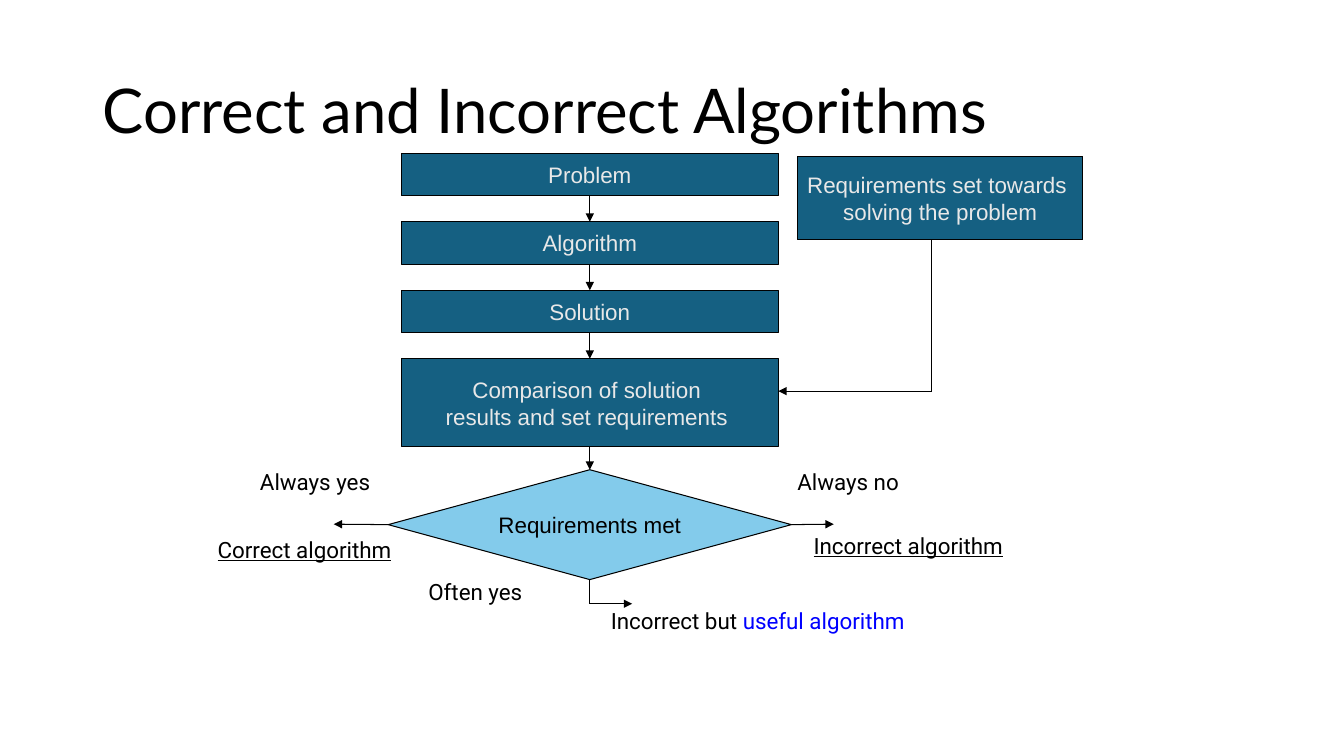
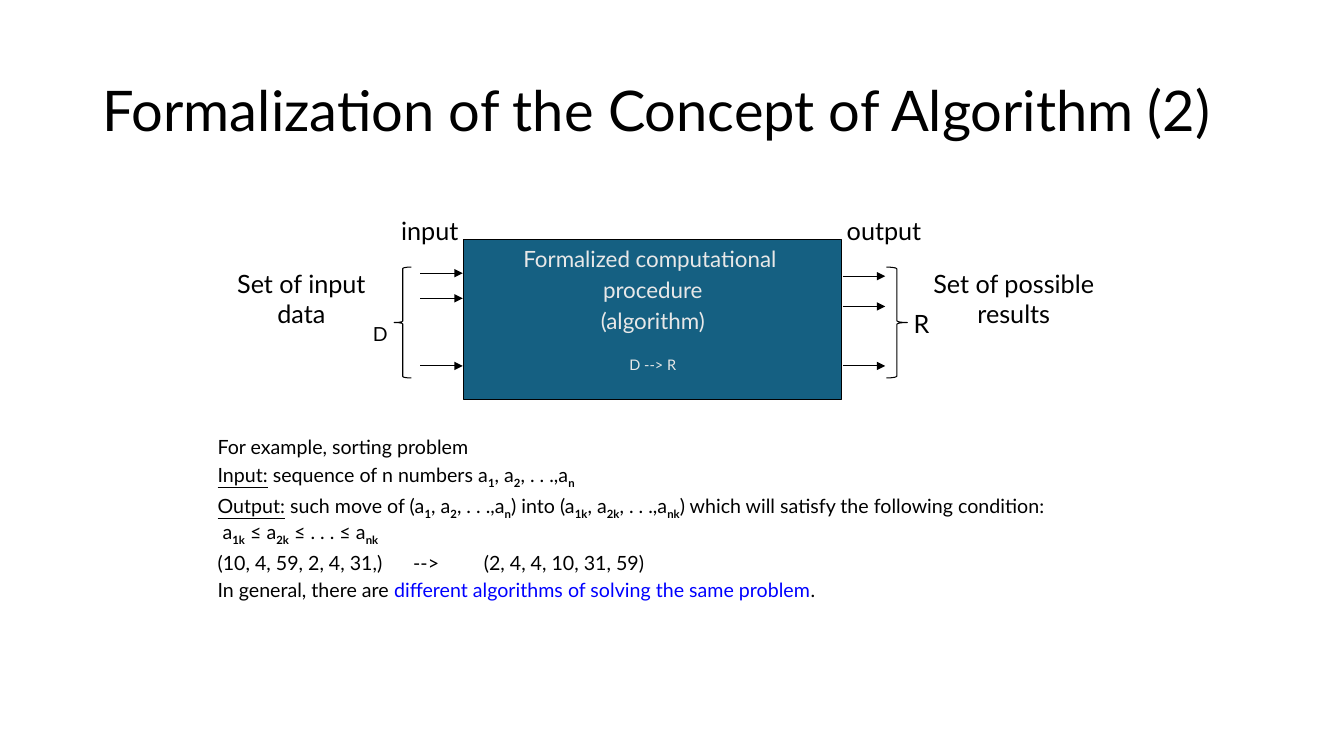
from dataclasses import dataclass

from lxml.etree import SubElement
from pptx import Presentation
from pptx.dml.color import RGBColor as RGB
from pptx.enum.shapes import MSO_CONNECTOR as CONN, MSO_SHAPE as SHAPE
from pptx.enum.text import MSO_ANCHOR as ANCHOR, PP_ALIGN as ALIGN
from pptx.oxml.ns import qn
from pptx.util import Inches, Pt


@dataclass(frozen=True)
class Theme:
    ink: RGB = RGB(0x00, 0x00, 0x00)
    box: RGB = RGB(0x15, 0x60, 0x82)
    box_text: RGB = RGB(0xE8, 0xE8, 0xE8)
    decision: RGB = RGB(0x83, 0xCB, 0xEB)
    accent: RGB = RGB(0x00, 0x00, 0xFF)
    head_font: str = "Lato"
    box_font: str = "Arial"
    label_font: str = "Roboto"
    body: int = 14
    label: int = 16
    large: int = 18
    symbol: int = 24
    line: float = 0.75


T = Theme()


# Text
def add_run(p, text, style=""):
    """Styles: underline, accent, sub (subscript), index (bold subscript)."""
    r = p.add_run()
    r.text = text
    if style == "underline":
        r.font.underline = True
    elif style == "accent":
        r.font.color.rgb = T.accent
    elif style in ("sub", "index"):
        r.font._element.set("baseline", "-25000")
        if style == "index":
            r.font.bold = True


def indexed(text):
    """Split text so that the parts between underscores become indices."""
    return [(part, "index" if i % 2 else "")
            for i, part in enumerate(text.split("_")) if part]


def add_paragraph(tf, pieces, size, font, color=T.ink, align=ALIGN.LEFT,
                  before=0.0, tabs=()):
    """Fill the first empty paragraph, or add one; before is a share of size."""
    p = tf.paragraphs[0]
    if p.runs:
        p = tf.add_paragraph()
        p.space_before = Pt(size * before)
    p.alignment = align
    if tabs:
        tab_list = SubElement(p._p.get_or_add_pPr(), qn("a:tabLst"))
        for x in tabs:
            SubElement(tab_list, qn("a:tab"), pos=str(Inches(x)), algn="l")
    p.font.size, p.font.name = Pt(size), font
    p.font.color.rgb = color
    for piece in [pieces] if isinstance(pieces, str) else pieces:
        if piece == "\n":
            p.add_line_break()
        else:
            add_run(p, *piece if isinstance(piece, tuple) else (piece,))
    return p


def add_text(s, x, y, w, h, pieces, size=T.label, font=T.label_font,
             align=ALIGN.LEFT):
    tf = s.shapes.add_textbox(Inches(x), Inches(y), Inches(w), Inches(h)).text_frame
    tf.word_wrap = True
    add_paragraph(tf, pieces, size, font, align=align)
    return tf


def add_titled_slide(prs, title, size):
    s = prs.slides.add_slide(prs.slide_layouts[6])
    tf = add_text(s, 0.92, 0.4, 11.5, 1.45, title, size, T.head_font)
    tf.vertical_anchor = ANCHOR.MIDDLE
    tf.paragraphs[0].line_spacing = 0.9
    return s


# Shapes and lines
def add_shape(s, kind, x, y, w, h, fill=None):
    sp = s.shapes.add_shape(kind, Inches(x), Inches(y), Inches(w), Inches(h))
    sp.shadow.inherit = False
    sp.line.color.rgb, sp.line.width = T.ink, Pt(T.line)
    if fill is None:
        sp.fill.background()
    else:
        sp.fill.solid()
        sp.fill.fore_color.rgb = fill
    return sp


def add_box(s, x, y, w, h, lines, kind=SHAPE.RECTANGLE, fill=T.box, color=T.box_text):
    sp = add_shape(s, kind, x, y, w, h, fill)
    tf = sp.text_frame
    tf.word_wrap = False
    tf.vertical_anchor = ANCHOR.MIDDLE
    for text in lines:
        add_paragraph(tf, text, T.label, T.box_font, color, ALIGN.CENTER)
    return sp


def add_line(s, x1, y1, x2, y2, arrow=True):
    c = s.shapes.add_connector(CONN.STRAIGHT, Inches(x1), Inches(y1),
                               Inches(x2), Inches(y2))
    c.line.color.rgb, c.line.width = T.ink, Pt(T.line)
    if arrow:
        SubElement(c.line._get_or_add_ln(), qn("a:tailEnd"), type="triangle")
    SubElement(c._element.spPr, qn("a:effectLst"))
    return c


def add_brace(s, kind, x, w):
    sp = add_shape(s, kind, x, 2.65, w, 1.1)
    sp.adjustments[0] = 0.08


# Slides
def build_flowchart(prs):
    s = add_titled_slide(prs, "Correct and Incorrect Algorithms", 44)

    # Column of steps, ending in the decision
    steps = [(["Problem"], 0.42), (["Algorithm"], 0.42), (["Solution"], 0.42),
             (["Comparison of solution ", "results and set requirements "], 0.87)]
    chain = [add_box(s, 3.98, 1.52 + 0.68 * i, 3.74, h, lines)
             for i, (lines, h) in enumerate(steps)]
    decision = add_box(s, 3.85, 4.66, 4, 1.09, ["Requirements met"],
                       SHAPE.FLOWCHART_DECISION, T.decision, T.ink)
    chain.append(decision)
    for upper, lower in zip(chain, chain[1:]):
        c = add_line(s, 5.85, 2, 5.85, 3)
        c.begin_connect(upper, 2)
        c.end_connect(lower, 0)

    # Requirements feeding the comparison
    add_box(s, 7.91, 1.55, 2.83, 0.83,
            ["Requirements set towards ", "solving the problem"])
    add_line(s, 9.24, 2.38, 9.24, 3.88, arrow=False)
    add_line(s, 9.24, 3.88, 7.72, 3.88)

    # Outcomes of the decision
    for site, x1, y1, x2, y2, arrow in [(1, 3.85, 5.2, 3.31, 5.2, True),
                                        (3, 7.85, 5.2, 8.27, 5.2, True),
                                        (2, 5.85, 5.75, 5.85, 5.99, False)]:
        add_line(s, x1, y1, x2, y2, arrow).begin_connect(decision, site)
    add_line(s, 5.85, 5.99, 6.27, 5.99)
    for x, y, w, pieces in [
            (2.48, 4.6, 1.75, "Always yes"),
            (7.81, 4.6, 1.67, "Always no"),
            (4.15, 5.69, 1.92, "Often yes"),
            (2.06, 5.27, 2.42, [("Correct algorithm", "underline")]),
            (7.97, 5.23, 2.92, [("Incorrect algorithm", "underline")]),
            (5.96, 5.97, 3.39, ["Incorrect but ", ("useful algorithm", "accent")])]:
        add_text(s, x, y, w, 0.4, pieces)


def build_formalization(prs):
    s = add_titled_slide(prs, "Formalization of the Concept of Algorithm (2)", 40)

    # Procedure box
    tf = add_shape(s, SHAPE.RECTANGLE, 4.6, 2.38, 3.75, 1.58, T.box).text_frame
    tf.word_wrap = False
    tf.vertical_anchor = ANCHOR.TOP
    for pieces, size in [("Formalized computational ", T.label),
                         ("procedure", T.label), ("(algorithm)", T.label),
                         ([("D --> R", "sub")], T.large)]:
        add_paragraph(tf, pieces, size, T.head_font, T.box_text, ALIGN.CENTER, 0.2)

    # Arrows and braces on both sides
    for x, ys in [(4.17, (2.71, 2.96, 3.63)), (8.36, (2.74, 3.04, 3.63))]:
        for y in ys:
            add_line(s, x, y, x + 0.42, y)
    add_brace(s, SHAPE.LEFT_BRACE, 3.91, 0.17)
    add_brace(s, SHAPE.RIGHT_BRACE, 8.79, 0.21)

    # Labels
    for x, y, w, h, text, align in [
            (3.88, 2.09, 1.13, 0.4, "input", ALIGN.LEFT),
            (8.3, 2.09, 1.13, 0.4, "output", ALIGN.LEFT),
            (2.11, 2.61, 1.76, 0.71, "Set of input data", ALIGN.CENTER),
            (8.95, 2.61, 2.21, 0.71, "Set of possible results", ALIGN.CENTER),
            (8.95, 3.01, 0.38, 0.4, "R", ALIGN.CENTER)]:
        add_text(s, x, y, w, h, text, T.large, T.head_font, align)
    add_text(s, 3.6, 2.92, 0.47, 0.38, [("D", "sub")], T.symbol, T.head_font)

    # Sorting example
    tf = add_text(s, 2.06, 4.27, 9, 1.8, "For example, sorting problem",
                  T.body, T.head_font)
    sequence = "a_1_, a_2_, . . .,a_n_"
    for pieces, tabs in [
            ([("Input:", "underline"), *indexed(f" sequence of n numbers {sequence}")], ()),
            ([("Output:", "underline"),
              *indexed(f" such move of ({sequence}) into (a_1k_, a_2k_, . . .,a_nk_)"
                       " which will satisfy the following condition:"),
              "\n", *indexed(" a_1k_ ≤ a_2k_ ≤ . . . ≤ a_nk_")], ()),
            ("(10, 4, 59, 2, 4, 31,)\t-->\t(2, 4, 4, 10, 31, 59)", (1.94, 2.64)),
            (["In general, there are ",
              ("different algorithms of solving the same problem", "accent"), "."], ())]:
        add_paragraph(tf, pieces, T.body, T.head_font, before=0.2, tabs=tabs)


def main():
    prs = Presentation()
    prs.slide_width, prs.slide_height = Inches(13.33), Inches(7.5)
    build_flowchart(prs)
    build_formalization(prs)
    prs.save("out.pptx")


if __name__ == "__main__":
    main()
